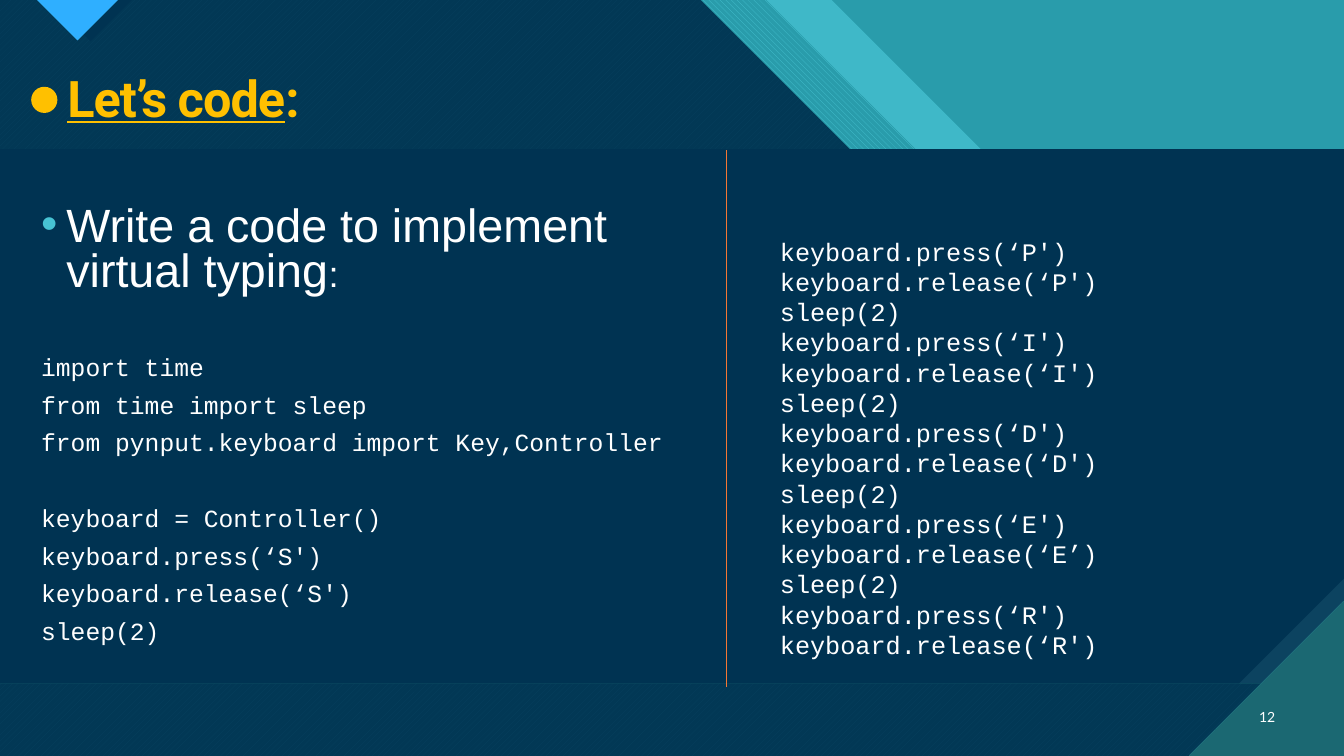
from lxml import etree
from pptx import Presentation
from pptx.dml.color import RGBColor
from pptx.enum import dml, shapes, text
from pptx.oxml.ns import qn
from pptx.util import Pt

WHITE = RGBColor(0xFF, 0xFF, 0xFF)
AQUA = RGBColor(0x47, 0xC3, 0xD3)
TEAL = RGBColor(0x29, 0x9C, 0xAB)
DEEP = RGBColor(0x1B, 0x68, 0x72)
NAVY = RGBColor(0x00, 0x33, 0x52)
STEEL = RGBColor(0x0C, 0x43, 0x60)
SKY = RGBColor(0x2F, 0xAF, 0xFF)
GOLD = RGBColor(0xFF, 0xC0, 0x00)
CORAL = RGBColor(0xF4, 0x77, 0x35)

WIDE, HIGH = 960, 540
TOP, BASE, SNIP = 106.6, 488.2, 75
MONO = "Courier New"

SETUP = ["import time", "from time import sleep",
         "from pynput.keyboard import Key,Controller"]
START = ["keyboard = Controller()", "keyboard.press(‘S')",
         "keyboard.release(‘S')", "sleep(2)"]


def plain(shape, color, alpha=None):
    """Flat fill, with an optional opacity in percent."""
    shape.shadow.inherit = False
    shape.line.fill.background()
    shape.fill.solid()
    shape.fill.fore_color.rgb = color
    if alpha:
        tone = shape.fill._xPr.find(".//" + qn("a:srgbClr"))
        etree.SubElement(tone, qn("a:alpha")).set("val", str(alpha * 1000))


def hatch(shape, kind, fore, back):
    """Pattern fill in two colours."""
    shape.shadow.inherit = False
    shape.line.fill.background()
    shape.fill.patterned()
    shape.fill.pattern = kind
    shape.fill.fore_color.rgb = fore
    shape.fill.back_color.rgb = back


def poly(slide, *spots):
    """Closed outline through points given in pt."""
    (x, y), *rest = [(Pt(a), Pt(b)) for a, b in spots]
    pen = slide.shapes.build_freeform(x, y, scale=1.0)
    pen.add_line_segments(rest, close=True)
    return pen.convert_to_shape()


def block(slide, kind, x, y, w, h):
    return slide.shapes.add_shape(kind, Pt(x), Pt(y), Pt(w), Pt(h))


def box(slide, x, y, w, h, lines):
    """Text box with one paragraph per line."""
    frame = slide.shapes.add_textbox(Pt(x), Pt(y), Pt(w), Pt(h)).text_frame
    frame.word_wrap = True
    frame.text = "\n".join(lines)
    return frame


def style(run, size, face, color=WHITE):
    run.font.size = Pt(size)
    run.font.name = face
    run.font.color.rgb = color


def bullet(para, color):
    """Hanging round bullet."""
    props = para._p.get_or_add_pPr()
    props.set("marL", str(Pt(18)))
    props.set("indent", str(-Pt(18)))
    tint = etree.SubElement(props, qn("a:buClr"))
    etree.SubElement(tint, qn("a:srgbClr")).set("val", str(color))
    etree.SubElement(props, qn("a:buFont")).set("typeface", "Arial")
    etree.SubElement(props, qn("a:buChar")).set("char", "•")


def decor(slide):
    mesh = dml.MSO_PATTERN
    rect = shapes.MSO_SHAPE.RECTANGLE

    # Diagonal bands
    plain(block(slide, rect, 0, 0, WIDE, HIGH), TEAL)
    band = poly(slide, (0, 0), (594, 0), (808, 214), (888.5, 214),
                (WIDE, 285.5), (WIDE, HIGH), (0, HIGH))
    plain(band, AQUA, 74)
    band = poly(slide, (0, 0), (547.2, 0), (761.5, 214), (852.5, 214),
                (WIDE, 321.5), (WIDE, HIGH), (0, HIGH))
    hatch(band, mesh.WIDE_DOWNWARD_DIAGONAL, AQUA, TEAL)
    field = [(0, 0), (500.4, 0), (714.4, 214), (805, 214),
             (WIDE, 369), (WIDE, HIGH), (0, HIGH)]
    hatch(poly(slide, *field), mesh.WIDE_UPWARD_DIAGONAL, AQUA, DEEP)
    plain(poly(slide, *field), NAVY, 90)

    # Top marker and its shade
    plain(poly(slide, (34.6, 0), (94.3, 0), (64.8, 29.5)), NAVY)
    mark = poly(slide, (26.6, 0), (84.2, 0), (55.4, 28.8))
    hatch(mark, mesh.DARK_HORIZONTAL, SKY, DEEP)

    # Content panel with its cut corner
    back = block(slide, rect, 0, TOP, WIDE, BASE - TOP)
    hatch(back, mesh.DARK_VERTICAL, STEEL, DEEP)
    panel = poly(slide, (0, TOP), (WIDE, TOP), (WIDE, BASE - SNIP),
                 (WIDE - SNIP, BASE), (0, BASE))
    plain(panel, NAVY)
    nook = poly(slide, (849, HIGH), (WIDE, HIGH), (WIDE, 429))
    hatch(nook, mesh.DARK_HORIZONTAL, DEEP, AQUA)


def title(slide):
    plain(block(slide, shapes.MSO_SHAPE.OVAL, 22.3, 62, 18.7, 18.7), GOLD)
    para = box(slide, 41, 49, 883, 47, ["Let’s code"]).paragraphs[0]
    para.line_spacing = 0.9
    para.add_run().text = ":"
    for run in para.runs:
        style(run, 36, "Roboto", GOLD)
        run.font.bold = True
        run._r.get_or_add_rPr().set("spc", "-70")
    para.runs[0].font.underline = True


def task(slide):
    lead = "Write a code to implement virtual typing"
    frame = box(slide, 22.3, 144, 486, 334, [lead] + SETUP + START)
    gaps = {SETUP[0]: 44, START[0]: 37}
    for para in frame.paragraphs:
        para.line_spacing = 0.8
        para.space_before = Pt(gaps.get(para.text, 10))
        style(para.runs[0], 17.6, MONO)
    head = frame.paragraphs[0]
    bullet(head, AQUA)
    style(head.runs[0], 33.3, "Arial")
    colon = head.add_run()
    colon.text = ":"
    style(colon, 25.9, "Arial")


def code(slide):
    lines = []
    for key in "PIDER":
        end = "’" if key == "E" else "'"
        lines += [f"keyboard.press(‘{key}')",
                  f"keyboard.release(‘{key}{end})", "sleep(2)"]
    frame = box(slide, 550, 165, 374, 356, lines[:-1])
    for para in frame.paragraphs:
        style(para.runs[0], 18, MONO)


def rule(slide):
    line = slide.shapes.add_connector(
        shapes.MSO_CONNECTOR.STRAIGHT, Pt(519), Pt(107), Pt(519), Pt(491))
    line.line.color.rgb = CORAL
    line.line.width = Pt(1)
    etree.SubElement(line._element.spPr, qn("a:effectLst"))


def number(slide):
    frame = box(slide, 886, 497.5, 32, 28.8, ["12"])
    frame.vertical_anchor = text.MSO_ANCHOR.MIDDLE
    para = frame.paragraphs[0]
    para.alignment = text.PP_ALIGN.RIGHT
    style(para.runs[0], 10, "Lato")


def main():
    deck = Presentation()
    deck.slide_width, deck.slide_height = Pt(WIDE), Pt(HIGH)
    slide = deck.slides.add_slide(deck.slide_layouts[6])
    slide.background.fill.solid()
    slide.background.fill.fore_color.rgb = AQUA
    decor(slide)
    number(slide)
    task(slide)
    title(slide)
    code(slide)
    rule(slide)
    deck.save("out.pptx")


if __name__ == "__main__":
    main()
